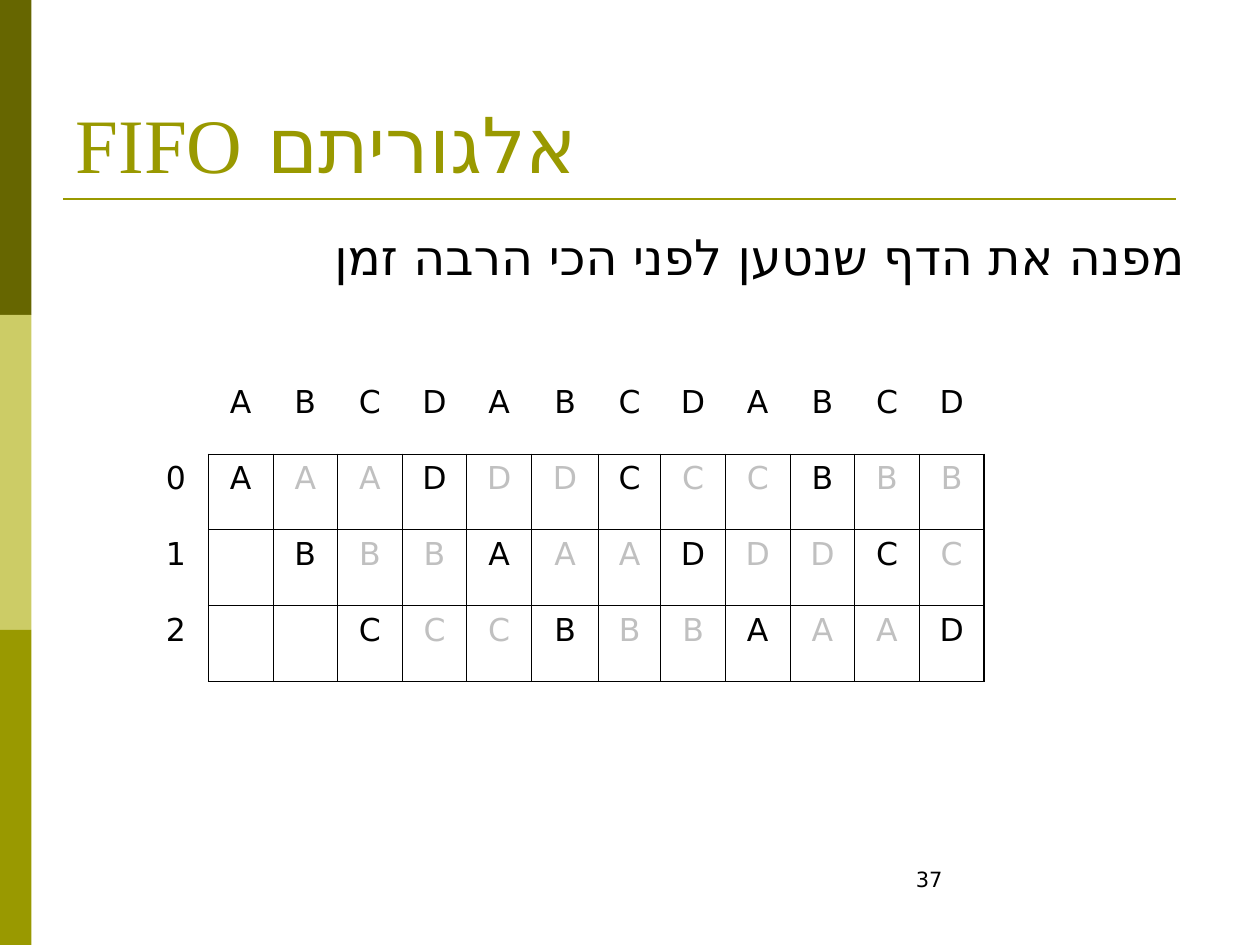
from lxml import etree
from pptx import Presentation
from pptx.dml.color import RGBColor
from pptx.enum.shapes import MSO_CONNECTOR, MSO_SHAPE
from pptx.enum.text import MSO_ANCHOR, MSO_AUTO_SIZE, PP_ALIGN
from pptx.oxml.ns import qn
from pptx.util import Inches, Pt

FONT = "DejaVu Sans"
PAGES = "ABCDABCDABCD"
FRAMES = 3
OLIVE, BLACK, GREY = "999900", "000000", "C0C0C0"
THIN, THICK = 0.45, 1.08


def rgb(code):
    return RGBColor.from_string(code)


def place(shape, box):
    shape.left, shape.top, shape.width, shape.height = map(Inches, box)


def write(frame, text, size=18, font=FONT, color=BLACK, align=PP_ALIGN.LEFT,
          before=0, rtl=True, hang=0):
    """Set one formatted paragraph in a text frame."""
    para = frame.paragraphs[0]
    para.alignment = align
    para.space_before = Pt(before)
    props = para._p.get_or_add_pPr()
    props.set("rtl", str(int(rtl)))
    props.set("marL", str(Inches(hang)))
    props.set("indent", str(-Inches(hang)))
    etree.SubElement(props, qn("a:buNone"))
    run = para.add_run()
    run.text = text
    run.font.size = Pt(size)
    run.font.name = font
    run.font.color.rgb = rgb(color)
    # Hebrew letters use the complex script font
    etree.SubElement(run._r.get_or_add_rPr(), qn("a:cs"), typeface=FONT)


def edge(cell, **sides):
    """Draw the named sides (L, R, T, B) at a width in points, or hide them."""
    props = cell._tc.get_or_add_tcPr()
    for side in "LRTB":
        width = sides.get(side, 0)
        line = etree.SubElement(props, qn(f"a:ln{side}"), w=str(Pt(width)))
        if width:
            fill = etree.SubElement(line, qn("a:solidFill"))
            etree.SubElement(fill, qn("a:srgbClr"), val=BLACK)
        else:
            etree.SubElement(line, qn("a:noFill"))


def add_bars(slide, box):
    """Stack the coloured side bars in equal parts."""
    left, top, width, height = box
    colors = ["666600", "CCCC66", OLIVE]
    part = height / len(colors)
    for i, color in enumerate(colors):
        bar = slide.shapes.add_shape(MSO_SHAPE.RECTANGLE, 0, 0, 0, 0)
        place(bar, (left, top + i * part, width, part))
        bar.shadow.inherit = False
        bar.fill.solid()
        bar.fill.fore_color.rgb = rgb(color)
        bar.line.fill.background()


def add_title(slide, box):
    title = slide.shapes.title
    place(title, box)
    frame = title.text_frame
    frame.auto_size = MSO_AUTO_SIZE.NONE
    frame.vertical_anchor = MSO_ANCHOR.BOTTOM
    write(frame, "אלגוריתם FIFO", size=44, font="Times New Roman", color=OLIVE)


def add_rule(slide, left, right, top):
    rule = slide.shapes.add_connector(MSO_CONNECTOR.STRAIGHT, Inches(left),
                                      Inches(top), Inches(right), Inches(top))
    rule.line.color.rgb = rgb(OLIVE)
    rule.line.width = Pt(1.5)
    etree.SubElement(rule._element.spPr, qn("a:effectLst"))


def add_body(slide, box):
    body = slide.placeholders[1]
    place(body, box)
    body.text_frame.auto_size = MSO_AUTO_SIZE.NONE
    write(body.text_frame, "מפנה את הדף שנטען לפני הכי הרבה זמן", size=28,
          align=PP_ALIGN.RIGHT, before=7, hang=0.38)


def fifo_cell(row, col):
    """Return the text and colour of one cell of the paging table."""
    if row == 0:
        return (PAGES[col - 1] if col else ""), BLACK
    if col == 0:
        return str(row - 1), BLACK
    # Every request faults, so the frames are refilled in turn
    step = col - 1
    age = (step - (row - 1)) % FRAMES
    if age > step:
        return "", BLACK
    return PAGES[step - age], GREY if age else BLACK


def add_table(slide, box):
    rows, cols = FRAMES + 1, len(PAGES) + 1
    shape = slide.shapes.add_table(rows, cols, *map(Inches, box))
    table = shape.table
    table.first_row = table.horz_banding = False
    for row in table.rows:
        row.height = Inches(box[3] / rows)
    for i, col in enumerate(table.columns):
        shift = {6: 0.02, 7: -0.02}.get(i, 0)
        col.width = Inches(box[2] / cols + shift)

    for r in range(rows):
        for c in range(cols):
            cell = table.cell(r, c)
            if r and c:
                edge(cell, L=THIN, T=THIN, R=THICK if c == cols - 1 else THIN,
                     B=THICK if r == rows - 1 else THIN)
            elif r:
                edge(cell, R=THIN)
            elif c:
                edge(cell, B=THIN)
            else:
                edge(cell)
            cell.fill.background()
            text, color = fifo_cell(r, c)
            if text:
                write(cell.text_frame, text, color=color,
                      align=PP_ALIGN.CENTER, before=4.5)


def add_number(slide, box):
    note = slide.shapes.add_textbox(*map(Inches, box))
    note.text_frame.word_wrap = True
    write(note.text_frame, "37", size=12, rtl=False)


def main():
    deck = Presentation()
    deck.slide_width, deck.slide_height = Inches(10), Inches(7.5)
    slide = deck.slides.add_slide(deck.slide_layouts[1])
    add_bars(slide, (0, 0, 0.25, 7.5))
    add_rule(slide, 0.5, 9.33, 1.58)
    add_title(slide, (0.5, 0.3, 9, 1.25))
    add_body(slide, (0.5, 1.75, 9, 4.95))
    add_table(slide, (1.14, 3, 6.67, 2.41))
    add_number(slide, (7.17, 6.83, 2.33, 0.5))
    deck.save("out.pptx")


if __name__ == "__main__":
    main()
